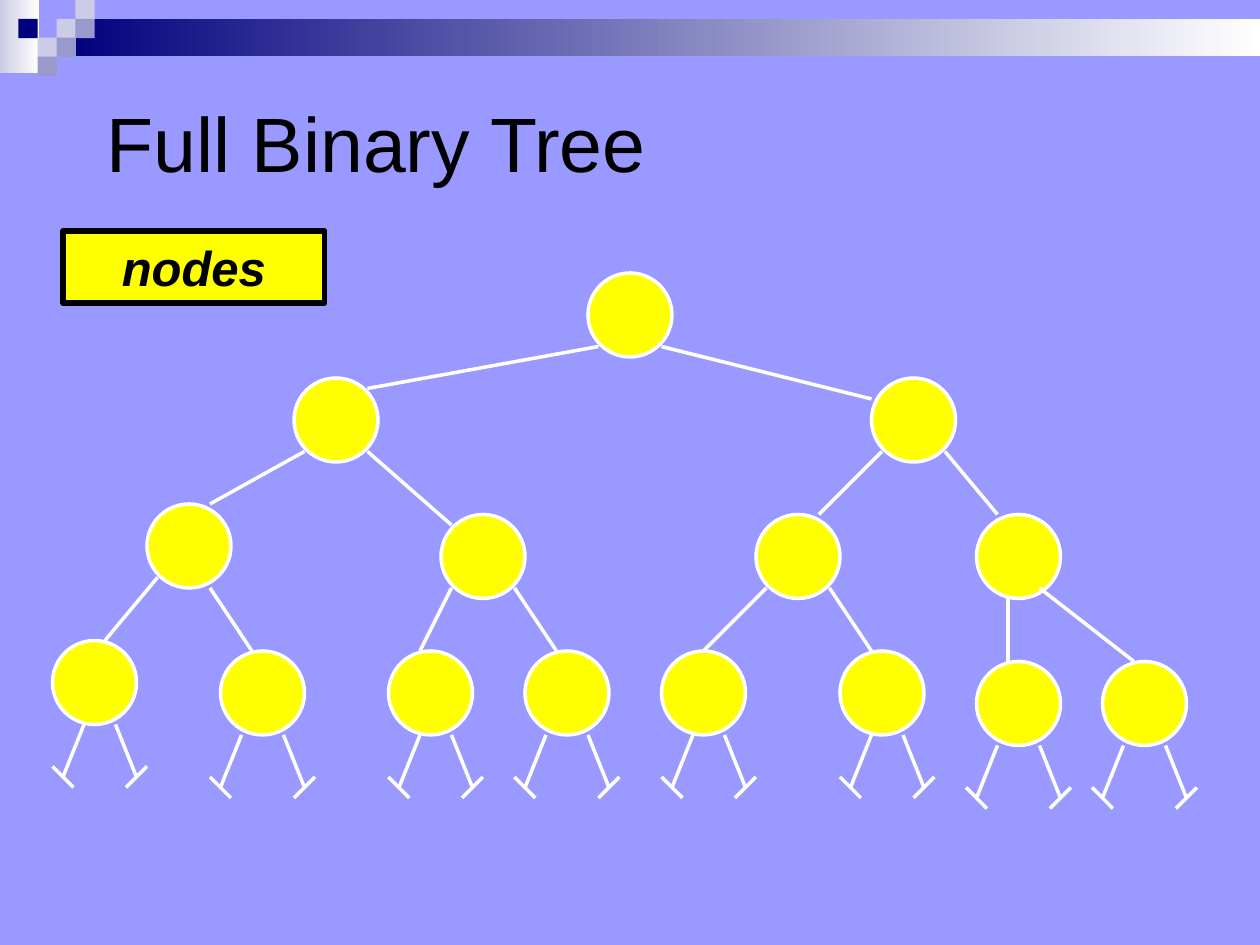
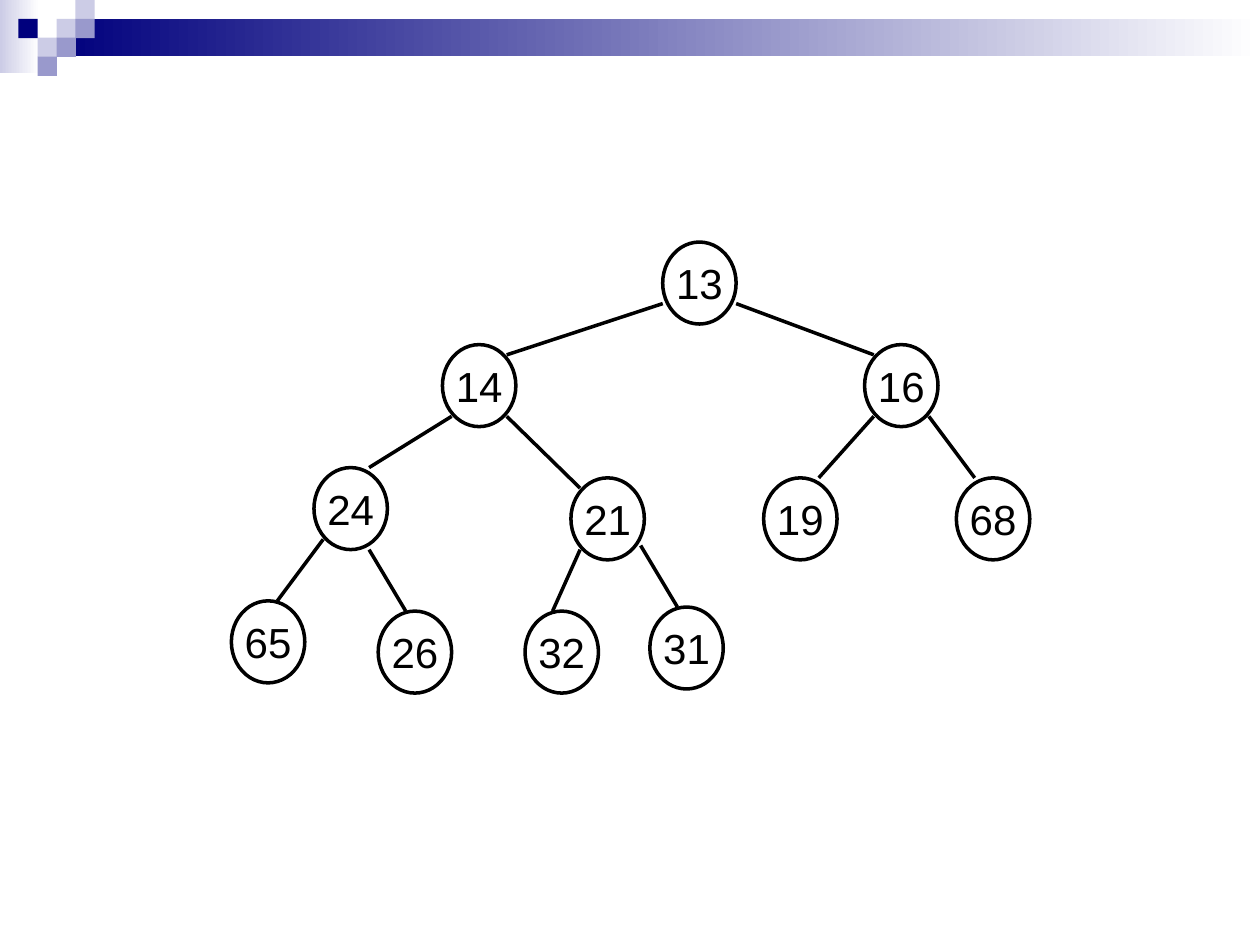
from lxml import etree
from pptx import Presentation
from pptx import util as u
from pptx.dml.color import RGBColor
from pptx.enum import shapes, text
from pptx.oxml.ns import qn

COLOURS = {
    "black": "000000",
    "white": "FFFFFF",
    "yellow": "FFFF00",
    "periwinkle": "9999FF",
    "navy": "00007D",
    "pale": "CCCCE6",
    "lilac": "9999CC",
}
RECTANGLE = shapes.MSO_SHAPE.RECTANGLE
OVAL = shapes.MSO_SHAPE.OVAL
FONT = "Arial"
NODE_SPAN = 8


def add_figure(parent, kind, box, fills, line=None, weight=2):
    shape = parent.add_shape(kind, *[u.Cm(length) for length in box])
    shape.shadow.inherit = False
    if len(fills) == 2:
        shape.fill.gradient()
        shape.fill.gradient_angle = 0
        for stop, name in zip(shape.fill.gradient_stops, fills):
            stop.color.rgb = RGBColor.from_string(COLOURS[name])
    elif fills:
        shape.fill.solid()
        shape.fill.fore_color.rgb = RGBColor.from_string(COLOURS[fills[0]])
    else:
        shape.fill.background()
    if line:
        shape.line.color.rgb = RGBColor.from_string(COLOURS[line])
        shape.line.width = u.Pt(weight)
    else:
        shape.line.fill.background()
    return shape


def write_text(shape, words, size, align, emphasis=False, inset=0.25):
    frame = shape.text_frame
    frame.word_wrap = inset > 0
    frame.vertical_anchor = text.MSO_ANCHOR.MIDDLE
    frame.margin_left = frame.margin_right = u.Cm(inset)
    frame.margin_top = frame.margin_bottom = u.Cm(inset / 2)
    paragraph = frame.paragraphs[0]
    paragraph.alignment = align
    run = paragraph.add_run()
    run.text = words
    run.font.name = FONT
    run.font.size = u.Pt(size)
    run.font.bold = run.font.italic = emphasis
    run.font.color.rgb = RGBColor.from_string(COLOURS["black"])


band = [
    ((0, 0, 0.79, 1.47), ["pale", "white"]),
    ((1.14, 0.38, 24.26, 0.75), ["navy", "white"]),
]
tiles = [
    (1.14, 0.38, "pale"),
    (1.52, 0, "pale"),
    (1.52, 0.38, "lilac"),
    (0.76, 0.76, "pale"),
    (0.37, 0.38, "navy"),
    (1.14, 0.76, "lilac"),
    (0.76, 1.14, "lilac"),
]
band += [((left, top, 0.39, 0.39), [name]) for left, top, name in tiles]

inner_nodes = [(56, 26), (28, 36), (83, 36), (14, 48), (42, 49), (72, 49), (93, 49)]
leaves = [
    (5, 61, 3), (21, 62, 2), (37, 62, 3), (50, 62, 2),
    (63, 62, 3), (80, 62, 3), (93, 63, 2), (105, 63, 2),
]
full_edges = [
    (57, 33, 35, 37), (63, 33, 83, 38),
    (29, 43, 20, 48), (35, 43, 43, 50), (84, 43, 78, 49), (90, 43, 95, 49),
    (15, 55, 10, 61), (20, 56, 24, 62), (43, 56, 40, 62), (49, 56, 53, 62),
    (73, 56, 67, 62), (79, 56, 83, 62), (96, 57, 96, 63), (99, 56, 108, 63),
]
for left, top, stub in leaves:
    for start, side in [(left + stub, -1), (left + 6, 1)]:
        end = start + 2 * side
        full_edges.append((start, top + 8, end, top + 13))
        full_edges.append((end - 1, top + 13 + side, end + 1, top + 13 - side))

heap_nodes = [
    (72, 0, "13"), (48, 10, "14"), (94, 10, "16"),
    (34, 22, "24"), (62, 23, "21"), (83, 23, "19"), (104, 23, "68"),
    (25, 35, "65"), (41, 36, "26"), (57, 36, "32"), (70.6, 35.6, "31"),
]
heap_edges = [
    (72, 6, 55, 11), (80, 6, 95, 11),
    (49, 17, 40, 22), (55, 17, 63, 24), (95, 17, 89, 23), (101, 17, 106, 23),
    (35, 29, 30, 35), (40, 30, 44, 36), (63, 30, 60, 36), (69.6, 29.6, 73.6, 35.6),
]

trees = [
    {
        "background": "periwinkle", "fills": ["yellow"], "line": "white",
        "left": 0, "top": 0, "column": 25.4 / 120, "row": 25.4 / 120,
        "nodes": [(left, top, "") for left, top, *stub in inner_nodes + leaves],
        "edges": full_edges,
    },
    {
        "background": "white", "fills": [], "line": "black",
        "left": 0.04, "top": 4.88, "column": 1.48 / 8, "row": 7.44 / 36,
        "nodes": heap_nodes,
        "edges": heap_edges,
    },
]

presentation = Presentation()
presentation.slide_width = u.Cm(25.4)
presentation.slide_height = u.Cm(19.05)

for tree in trees:
    slide = presentation.slides.add_slide(presentation.slide_layouts[6])
    slide.background.fill.solid()
    slide.background.fill.fore_color.rgb = RGBColor.from_string(COLOURS[tree["background"]])

    group = slide.shapes.add_group_shape()
    for box, fills in band:
        add_figure(group.shapes, RECTANGLE, box, fills)

    column, row = tree["column"], tree["row"]
    for x, y, label in tree["nodes"]:
        box = (tree["left"] + x * column, tree["top"] + y * row,
               NODE_SPAN * column, NODE_SPAN * row)
        node = add_figure(slide.shapes, OVAL, box, tree["fills"], tree["line"])
        if label:
            write_text(node, label, 24, text.PP_ALIGN.CENTER, inset=0)

    for x1, y1, x2, y2 in tree["edges"]:
        edge = slide.shapes.add_connector(
            shapes.MSO_CONNECTOR.STRAIGHT,
            u.Cm(tree["left"] + x1 * column), u.Cm(tree["top"] + y1 * row),
            u.Cm(tree["left"] + x2 * column), u.Cm(tree["top"] + y2 * row))
        edge.line.color.rgb = RGBColor.from_string(COLOURS[tree["line"]])
        edge.line.width = u.Pt(2)
        etree.SubElement(edge._element.spPr, qn("a:effectLst"))

full_slide = presentation.slides[0]
title = full_slide.shapes.add_textbox(u.Cm(1.9), u.Cm(1.27), u.Cm(21.59), u.Cm(3.18))
write_text(title, "Full Binary Tree", 44, text.PP_ALIGN.LEFT)
caption = add_figure(full_slide.shapes, RECTANGLE, (1.27, 4.66, 5.28, 1.45),
                     ["yellow"], "black", 3)
write_text(caption, "nodes", 28, text.PP_ALIGN.CENTER, emphasis=True)

presentation.save("out.pptx")
